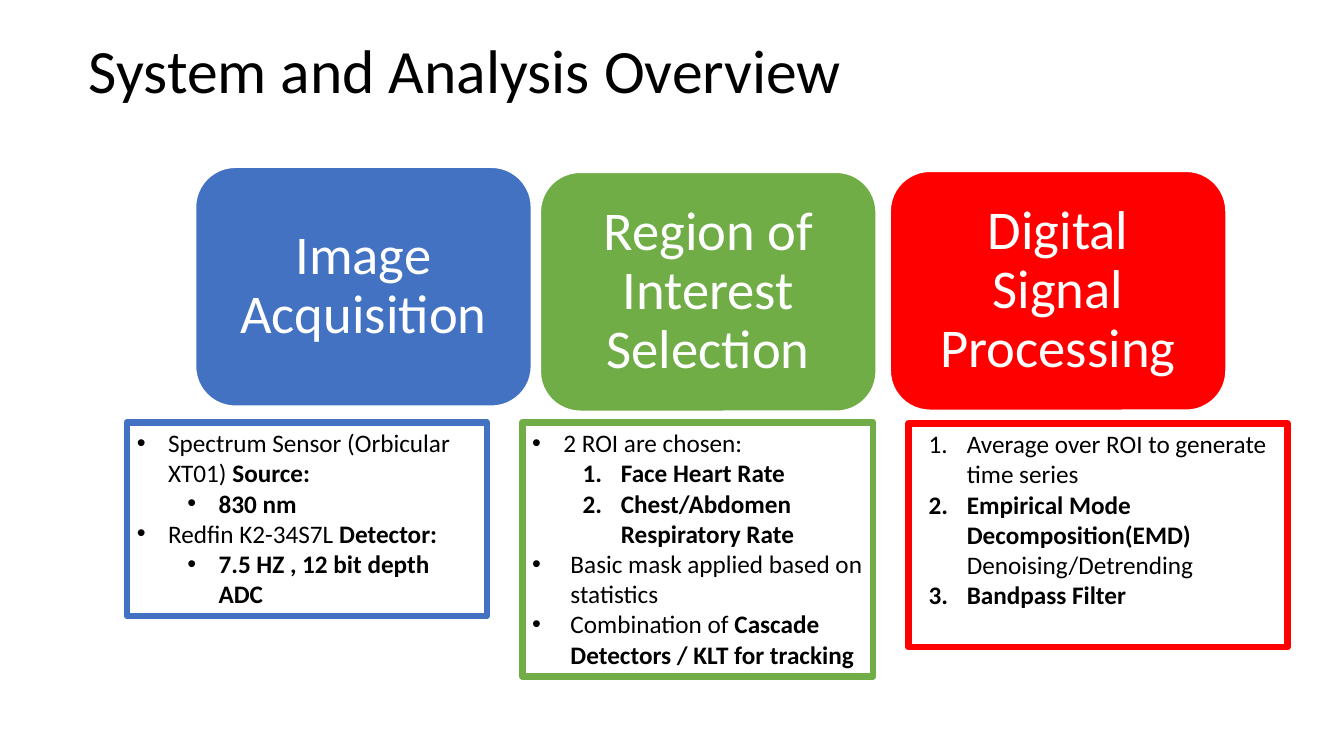
from dataclasses import dataclass

from lxml import etree
from pptx import Presentation
from pptx.dml.color import RGBColor
from pptx.enum import shapes, text
from pptx.oxml import ns
from pptx.util import Inches, Pt


@dataclass(frozen=True)
class Theme:
    face: str = "Calibri"
    ink: str = "000000"
    paper: str = "FFFFFF"
    blue: str = "4372C3"
    green: str = "70AD47"
    red: str = "FF0000"
    head: int = 44
    step: int = 39
    body: int = 18
    edge: float = 4.75


THEME = Theme()
DOT, NUM = "dot", "num"

STEPS = [
    ("Image Acquisition", THEME.blue, (1.94, 1.66), (1.26, 4.19, 3.57, 1.92), 0.1, [
        (DOT, 0, 0.31, 0.31, [("Spectrum Sensor (Orbicular XT01) ", False), ("Source:", True)]),
        (DOT, 1, 0.81, 0.31, [("830 nm", True)]),
        (DOT, 0, 0.31, 0.31, [("Redfin K2-34S7L ", False), ("Detector:", True)]),
        (DOT, 1, 0.81, 0.31, [("7.5 HZ , 12 bit depth ADC", True)]),
    ]),
    ("Region of Interest Selection", THEME.green, (5.36, 1.71), (5.18, 4.19, 3.48, 2.52), 0.1, [
        (DOT, 0, 0.31, 0.31, [("2 ROI are chosen:", False)]),
        (NUM, 1, 0.88, 0.38, [("Face Heart Rate", True)]),
        (NUM, 1, 0.88, 0.38, [("Chest/Abdomen Respiratory Rate", True)]),
        (DOT, 0, 0.38, 0.38, [("Basic mask applied based on statistics", False)]),
        (DOT, 0, 0.38, 0.38, [("Combination of ", False),
                              ("Cascade Detectors / KLT for tracking", True)]),
    ]),
    ("Digital Signal Processing", THEME.red, (8.83, 1.7), (9.01, 4.2, 3.76, 2.22), 0.2, [
        (NUM, 0, 0.38, 0.38, [("Average over ROI to generate time series", False)]),
        (NUM, 0, 0.38, 0.38, [("Empirical Mode Decomposition(EMD) ", True),
                              ("Denoising/Detrending", False)]),
        (NUM, 0, 0.38, 0.38, [("Bandpass Filter", True)]),
    ]),
]


def rgb(code):
    return RGBColor.from_string(code)


def style(font, size, color):
    font.name = THEME.face
    font.size = Pt(size)
    font.color.rgb = rgb(color)


def frame(shape, anchor, left, top, right, bottom):
    box = shape.text_frame
    box.word_wrap = True
    box.auto_size = text.MSO_AUTO_SIZE.NONE
    box.vertical_anchor = anchor
    box.margin_left, box.margin_top = Inches(left), Inches(top)
    box.margin_right, box.margin_bottom = Inches(right), Inches(bottom)
    return box


def block(slide, kind, place, line, width):
    shape = slide.shapes.add_shape(kind, *map(Inches, place))
    shape.shadow.inherit = False
    shape.line.color.rgb = rgb(line)
    shape.line.width = Pt(width)
    return shape


def mark(para, kind, indent, hang):
    props = para._p.get_or_add_pPr()
    props.set("marL", str(Inches(indent)))
    props.set("indent", str(-Inches(hang)))
    tint = etree.SubElement(props, ns.qn("a:buClr"))
    etree.SubElement(tint, ns.qn("a:srgbClr"), val=THEME.ink)
    if kind == DOT:
        etree.SubElement(props, ns.qn("a:buFont"), typeface="Arial")
        etree.SubElement(props, ns.qn("a:buChar"), char="•")
    else:
        etree.SubElement(props, ns.qn("a:buFont"), typeface="+mj-lt")
        etree.SubElement(props, ns.qn("a:buAutoNum"), type="arabicPeriod")


def title(slide, words):
    shape = slide.shapes.title
    shape.left, shape.top = Inches(0.78), Inches(0)
    shape.width, shape.height = Inches(11.5), Inches(1.45)
    box = frame(shape, text.MSO_ANCHOR.MIDDLE, 0.1, 0.05, 0.1, 0.05)
    box.text = words
    para = box.paragraphs[0]
    para.alignment = text.PP_ALIGN.LEFT
    para.line_spacing = 0.9
    style(para.font, THEME.head, THEME.ink)


def card(slide, words, color, spot):
    shape = block(slide, shapes.MSO_SHAPE.ROUNDED_RECTANGLE,
                  (*spot, 3.33, 2.37), THEME.paper, 1)
    shape.fill.solid()
    shape.fill.fore_color.rgb = rgb(color)
    box = frame(shape, text.MSO_ANCHOR.MIDDLE, 0.16, 0.16, 0.16, 0.16)
    box.text = words
    para = box.paragraphs[0]
    para.alignment = text.PP_ALIGN.CENTER
    para.line_spacing = 0.9
    style(para.font, THEME.step, THEME.paper)


def panel(slide, color, place, inset, items):
    shape = block(slide, shapes.MSO_SHAPE.RECTANGLE, place, color, THEME.edge)
    shape.fill.background()
    box = frame(shape, text.MSO_ANCHOR.TOP, inset, 0.05, 0.1, 0.05)
    for index, (kind, level, indent, hang, parts) in enumerate(items):
        para = box.add_paragraph() if index else box.paragraphs[0]
        para.alignment = text.PP_ALIGN.LEFT
        para.level = level
        mark(para, kind, indent, hang)
        style(para.font, THEME.body, THEME.ink)
        for words, bold in parts:
            run = para.add_run()
            run.text = words
            run.font.bold = bold


def main():
    deck = Presentation()
    deck.slide_width, deck.slide_height = Inches(13.33), Inches(7.5)
    slide = deck.slides.add_slide(deck.slide_layouts[5])
    title(slide, "System and Analysis Overview")
    for words, color, spot, place, inset, items in STEPS:
        card(slide, words, color, spot)
        panel(slide, color, place, inset, items)
    deck.save("out.pptx")


if __name__ == "__main__":
    main()
